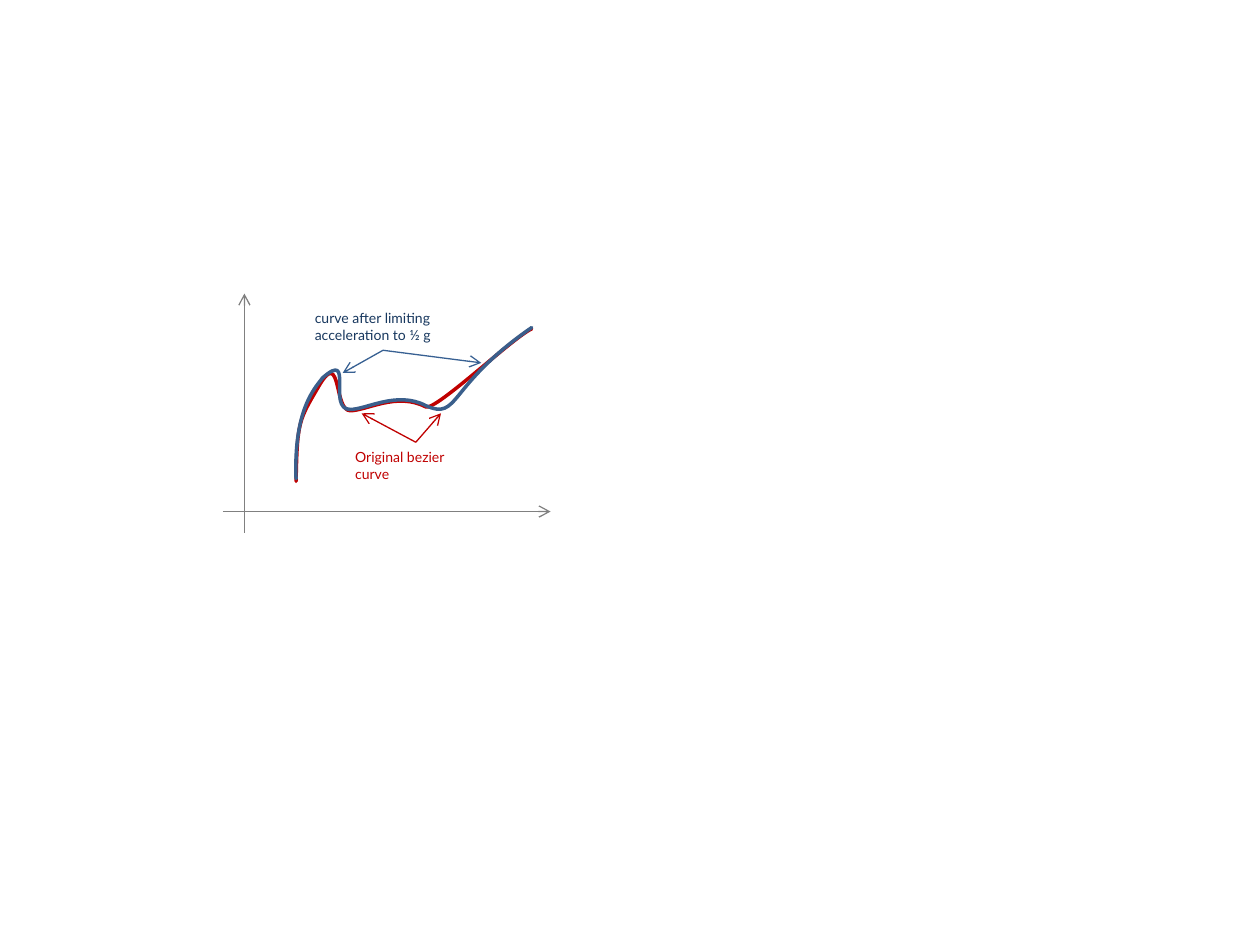
"""Build a slide comparing a bezier curve with its acceleration-limited version."""
import pptx
import pptx.dml.color
import pptx.enum.shapes
import pptx.enum.text
import pptx.oxml
import pptx.oxml.ns
import pptx.util
from pptx.util import Inches

COLORS = {
    "axis": "808080",
    "original": "C00000",
    "limited": "3A5F8C",
    "limited_arrow": "376092",
    "limited_text": "17375E",
}
FONT = "Lato"
NAMESPACE = pptx.oxml.ns.nsdecls("a")


def rgb(name):
    return pptx.dml.color.RGBColor.from_string(COLORS[name])


def add_arrow(color, start, end):
    arrow = slide.shapes.add_connector(
        pptx.enum.shapes.MSO_CONNECTOR.STRAIGHT, *map(Inches, start + end)
    )
    arrow.line.color.rgb = rgb(color)
    arrow.line.width = pptx.util.Pt(0.75)
    properties = arrow.element.spPr
    line = properties.find(pptx.oxml.ns.qn("a:ln"))
    line.append(pptx.oxml.parse_xml(f'<a:tailEnd {NAMESPACE} type="arrow"/>'))
    properties.append(pptx.oxml.parse_xml(f"<a:effectLst {NAMESPACE}/>"))


presentation = pptx.Presentation()
presentation.slide_width = Inches(10)
presentation.slide_height = Inches(7.5)
slide = presentation.slides.add_slide(presentation.slide_layouts[6])

add_arrow("axis", (1.77, 4.06), (4.37, 4.06))
add_arrow("axis", (1.94, 4.23), (1.94, 2.33))

curves = [
    ("original", (2.35, 3.82), [
        ((2.36, 3.34), (2.37, 3.34), (2.54, 3.05)),
        ((2.71, 2.77), (2.65, 3.26), (2.78, 3.26)),
        ((2.91, 3.26), (3.15, 3.11), (3.38, 3.23)),
        ((3.46, 3.26), (4.07, 2.68), (4.22, 2.61)),
    ]),
    ("limited", (2.35, 3.80), [
        ((2.33, 3.25), (2.50, 3.08), (2.56, 3.00)),
        ((2.82, 2.77), (2.59, 3.25), (2.78, 3.25)),
        ((2.91, 3.25), (3.15, 3.10), (3.38, 3.22)),
        ((3.65, 3.34), (3.54, 3.07), (4.22, 2.60)),
    ]),
]
for color, start, segments in curves:
    builder = slide.shapes.build_freeform(Inches(start[0]), Inches(start[1]))
    builder.add_line_segments(
        [(Inches(x), Inches(y)) for _, _, (x, y) in segments], close=False
    )
    curve = builder.convert_to_shape()
    curve.shadow.inherit = False
    curve.fill.background()
    curve.line.color.rgb = rgb(color)
    curve.line.width = pptx.util.Pt(2)
    properties = curve.element.spPr
    properties.find(pptx.oxml.ns.qn("a:ln")).set("cap", "rnd")
    straight_parts = list(properties.iter(pptx.oxml.ns.qn("a:lnTo")))
    for straight, segment in zip(straight_parts, segments):
        points = "".join(
            f'<a:pt x="{Inches(x) - curve.left}" y="{Inches(y) - curve.top}"/>'
            for x, y in segment
        )
        bend = pptx.oxml.parse_xml(f"<a:cubicBezTo {NAMESPACE}>{points}</a:cubicBezTo>")
        straight.getparent().replace(straight, bend)

labels = [
    ("Original bezier curve", "original", 2.72, 3.51, 1.17, 0.24),
    ("curve after limiting acceleration to ½ g", "limited_text", 2.4, 2.41, 1.28, 0.37),
]
for text, color, left, top, width, height in labels:
    label = slide.shapes.add_textbox(Inches(left), Inches(top), Inches(width), Inches(height))
    text_frame = label.text_frame
    text_frame.word_wrap = True
    text_frame.auto_size = pptx.enum.text.MSO_AUTO_SIZE.SHAPE_TO_FIT_TEXT
    text_frame.text = text
    font = text_frame.paragraphs[0].runs[0].font
    font.name = FONT
    font.size = pptx.util.Pt(8)
    font.color.rgb = rgb(color)

pointers = [
    ("original", (3.3, 3.51), [(2.87, 3.28), (3.5, 3.28)]),
    ("limited_arrow", (3.04, 2.78), [(2.72, 2.96), (3.82, 2.88)]),
]
for color, start, tips in pointers:
    for tip in tips:
        add_arrow(color, start, tip)

presentation.save("out.pptx")
